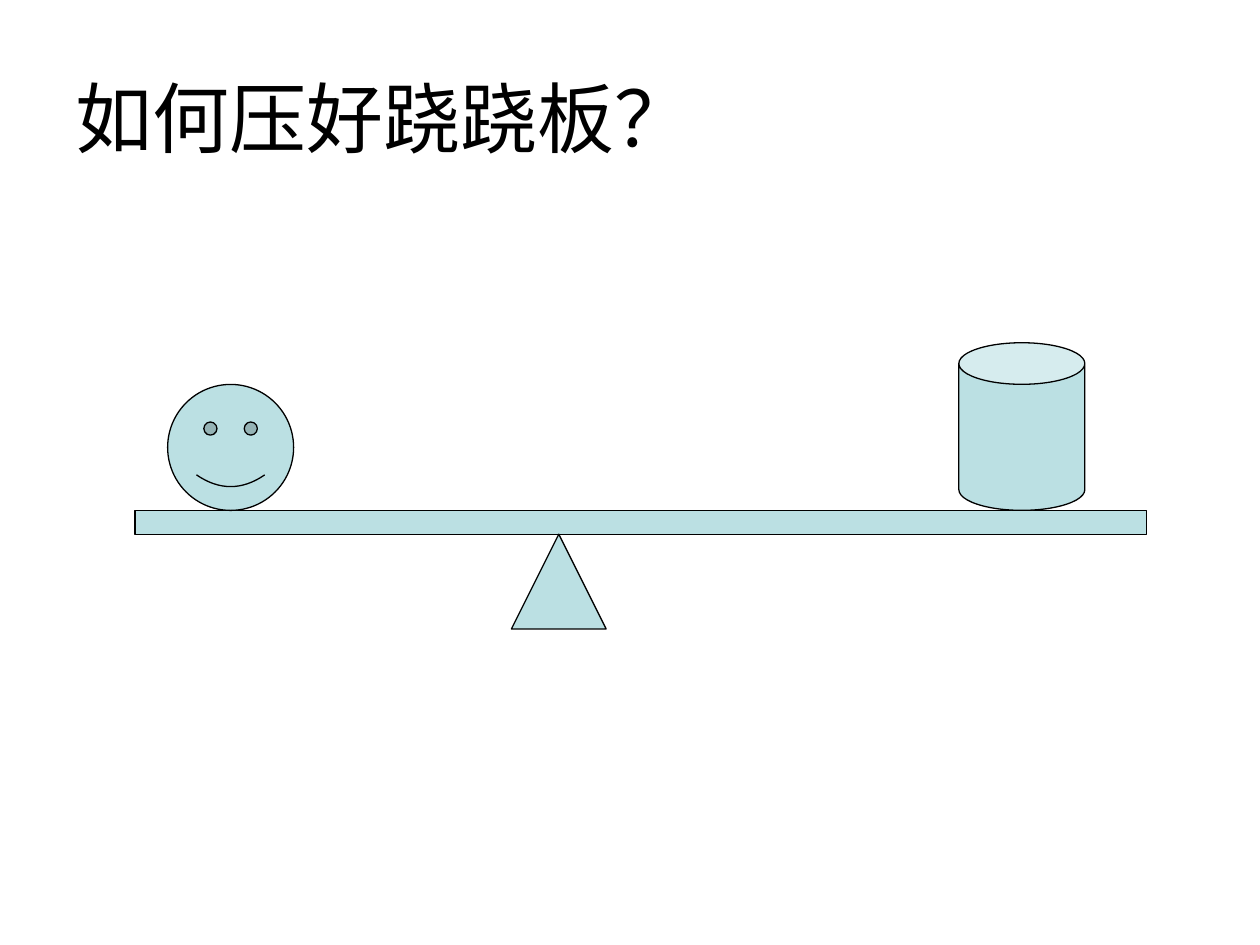
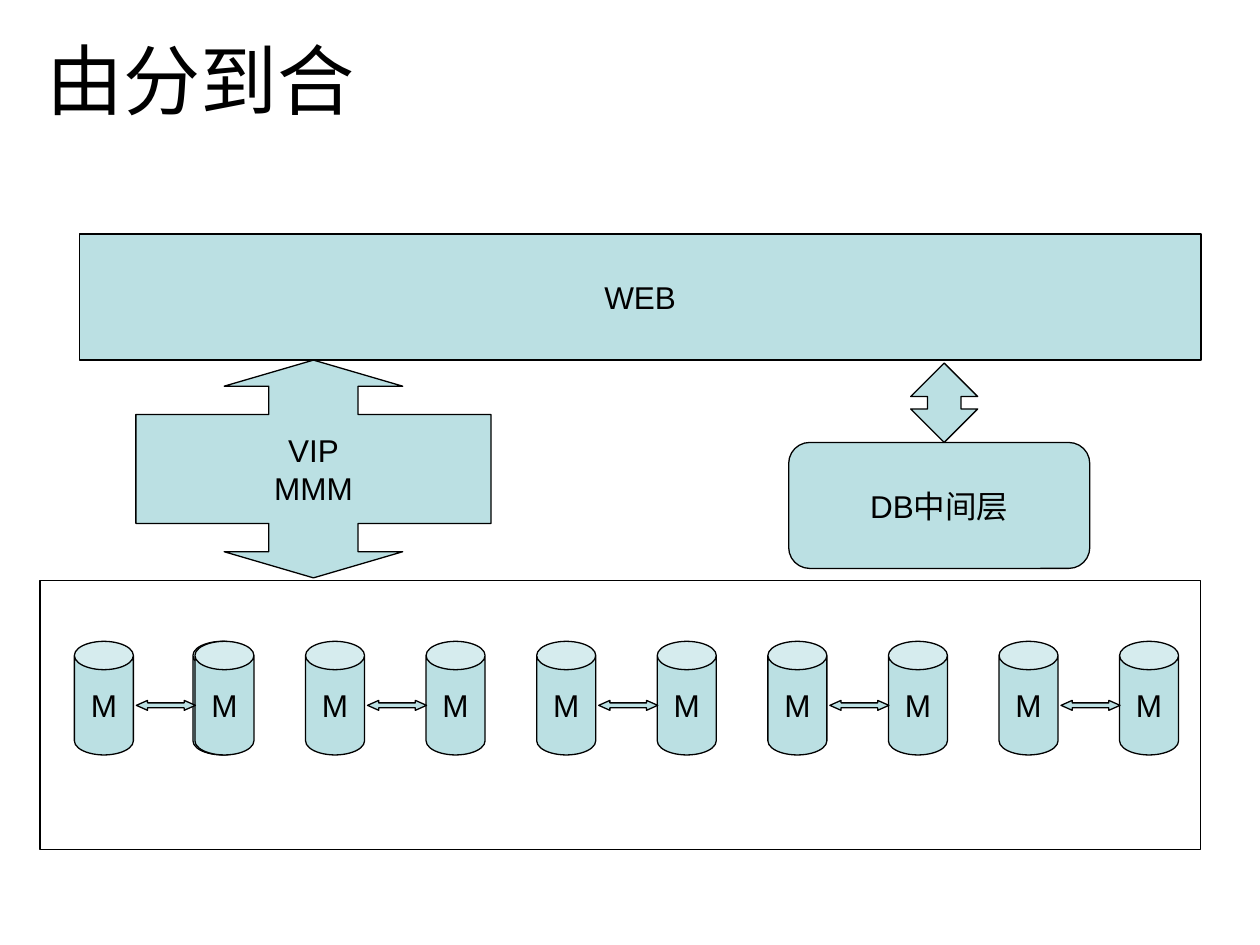
from pptx import Presentation
from pptx.dml.color import RGBColor
from pptx.enum.shapes import MSO_SHAPE
from pptx.enum.text import MSO_ANCHOR, MSO_AUTO_SIZE, PP_ALIGN
from pptx.util import Cm, Pt

BLACK = RGBColor(0x00, 0x00, 0x00)
WHITE = RGBColor(0xFF, 0xFF, 0xFF)
PALE_TEAL = RGBColor(0xBB, 0xE0, 0xE3)
FONT = "Arial"
MIDDLE = MSO_ANCHOR.MIDDLE
LEFT, CENTER = PP_ALIGN.LEFT, PP_ALIGN.CENTER
NO_AUTOFIT = MSO_AUTO_SIZE.NONE
TITLE_ONLY = 5

RECT = MSO_SHAPE.RECTANGLE
ROUND_RECT = MSO_SHAPE.ROUNDED_RECTANGLE
PROCESS = MSO_SHAPE.FLOWCHART_PROCESS
EXTRACT = MSO_SHAPE.FLOWCHART_EXTRACT
SMILEY = MSO_SHAPE.SMILEY_FACE
CAN = MSO_SHAPE.CAN
UP_DOWN = MSO_SHAPE.UP_DOWN_ARROW
LEFT_RIGHT = MSO_SHAPE.LEFT_RIGHT_ARROW
CALLOUT = MSO_SHAPE.UP_DOWN_ARROW_CALLOUT

PAIR_COUNT = 5
PAIR_LEFT, PAIR_PITCH = 1.5, 4.66
CAN_TOP, CAN_WIDTH, CAN_HEIGHT = 12.93, 1.19, 2.29
ARROW_OFFSET, SECOND_OFFSET = 1.25, 2.43


class Deck:
    def __init__(self):
        self.prs = Presentation()
        self.prs.slide_width, self.prs.slide_height = Cm(25.4), Cm(19.05)
        self.slide = None

    def new_slide(self, title, left, top):
        self.slide = self.prs.slides.add_slide(self.prs.slide_layouts[TITLE_ONLY])
        fill = self.slide.background.fill
        fill.solid()
        fill.fore_color.rgb = WHITE
        sp = self.slide.shapes.title
        sp.left, sp.top, sp.width, sp.height = Cm(left), Cm(top), Cm(22.86), Cm(3.18)
        self.set_text(sp, title, 44, LEFT)

    def set_text(self, sp, text, size, align):
        tf = sp.text_frame
        tf.text = text
        tf.auto_size = NO_AUTOFIT
        tf.word_wrap = True
        tf.vertical_anchor = MIDDLE
        for p in tf.paragraphs:
            p.alignment = align
            for r in p.runs:
                r.font.name = FONT
                r.font.size = Pt(size)
                r.font.color.rgb = BLACK

    def shape(self, kind, left, top, width, height, text="", adj=(),
              filled=True, group=None):
        parent = group or self.slide
        sp = parent.shapes.add_shape(kind, Cm(left), Cm(top), Cm(width), Cm(height))
        sp.shadow.inherit = False
        for i, value in enumerate(adj):
            sp.adjustments[i] = value
        if filled:
            sp.fill.solid()
            sp.fill.fore_color.rgb = PALE_TEAL
        else:
            sp.fill.background()
        sp.line.color.rgb = BLACK
        sp.line.width = Pt(0.75)
        if text:
            self.set_text(sp, text, 18, CENTER)
        return sp

    def database(self, left, text="", group=None):
        sp = self.shape(CAN, left, CAN_TOP, CAN_WIDTH, CAN_HEIGHT, text, [0.48],
                        group=group)
        sp.text_frame.word_wrap = False

    def database_pair(self, left):
        group = self.slide.shapes.add_group_shape()
        self.database(left, "M", group)
        self.database(left + SECOND_OFFSET, "M", group)
        self.shape(LEFT_RIGHT, left + ARROW_OFFSET, 14.12, CAN_WIDTH, 0.2,
                   adj=[0.5, 1.13], group=group)


def seesaw_slide(deck):
    deck.new_slide("如何压好跷跷板？", 1.27, 0.76)
    deck.shape(PROCESS, 2.72, 10.29, 20.4, 0.48)
    deck.shape(EXTRACT, 10.31, 10.77, 1.91, 1.91)
    deck.shape(SMILEY, 3.38, 7.75, 2.54, 2.54, adj=[0.05])
    deck.shape(CAN, 19.33, 6.91, 2.54, 3.38, adj=[0.33])


def database_slide(deck):
    deck.new_slide("由分到合", 0.69, 0)
    deck.shape(RECT, 1.6, 4.72, 22.61, 2.54, "WEB")
    deck.shape(ROUND_RECT, 15.9, 8.92, 6.07, 2.54, "DB中间层")
    deck.shape(RECT, 0.81, 11.71, 23.39, 5.41, filled=False)
    deck.shape(UP_DOWN, 18.36, 7.32, 1.35, 1.6, adj=[0.5, 0.5])
    deck.shape(CALLOUT, 2.74, 7.26, 7.16, 4.39, "VIP\nMMM",
               [0.41, 0.41, 0.12, 0.5])
    deck.database(3.89)
    for i in range(PAIR_COUNT):
        deck.database_pair(PAIR_LEFT + i * PAIR_PITCH)


def main():
    deck = Deck()
    seesaw_slide(deck)
    database_slide(deck)
    deck.prs.save("out.pptx")


if __name__ == "__main__":
    main()
